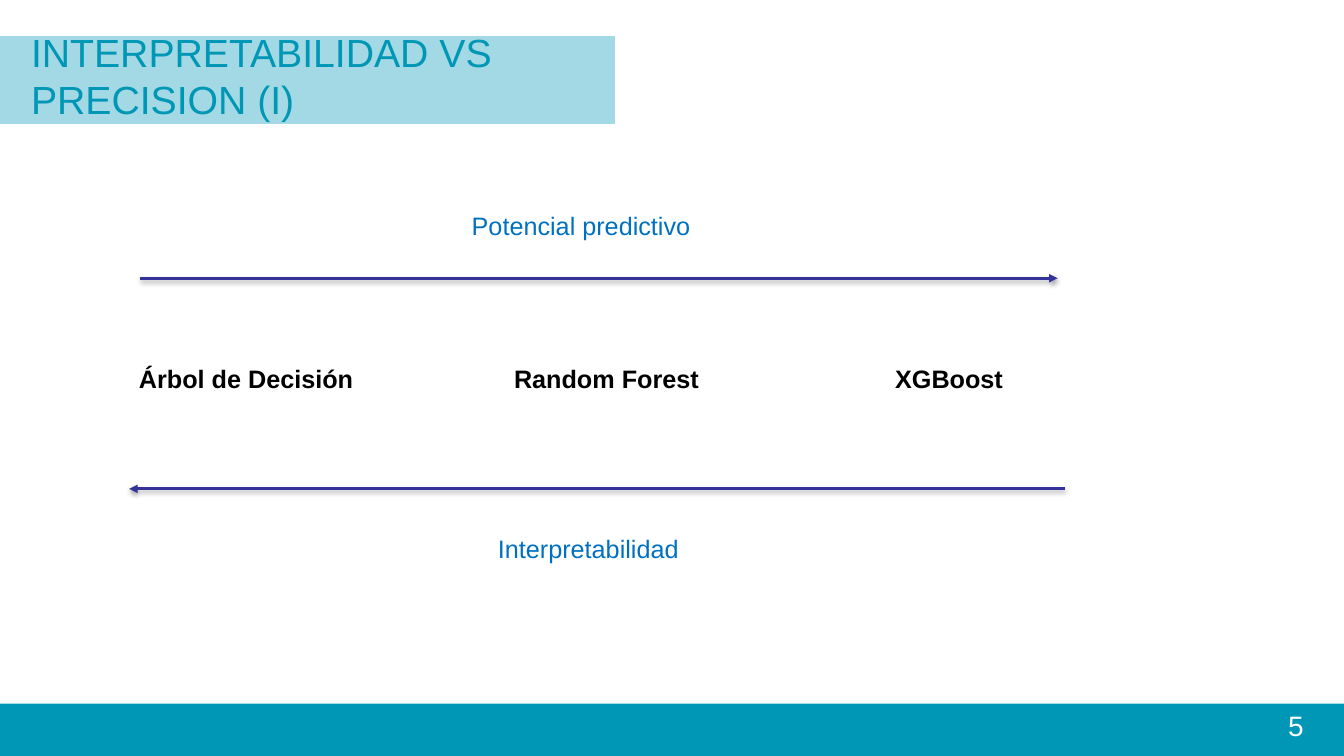
import pptx
import pptx.dml.color
import pptx.enum.shapes
import pptx.enum.text
import pptx.oxml
import pptx.oxml.ns
import pptx.util
from pptx.util import Inches

TEAL = "0097B6"
BLUE = "0070C0"
ALIGN = pptx.enum.text.PP_ALIGN
ANCHOR = pptx.enum.text.MSO_ANCHOR
NAMESPACE = pptx.oxml.ns.nsdecls("a")


def color(hex_string):
    return pptx.dml.color.RGBColor.from_string(hex_string)


def add_text(text, left, top, width, height, size, hex_string,
             bold=False, align=ALIGN.LEFT, anchor=ANCHOR.TOP):
    text_box = slide.shapes.add_textbox(Inches(left), Inches(top), Inches(width), Inches(height))
    frame = text_box.text_frame
    frame.word_wrap = True
    frame.vertical_anchor = anchor
    paragraph = frame.paragraphs[0]
    paragraph.alignment = align
    run = paragraph.add_run()
    run.text = text
    run.font.name = "Arial"
    run.font.size = pptx.util.Pt(size)
    run.font.bold = bold
    run.font.color.rgb = color(hex_string)


presentation = pptx.Presentation()
presentation.slide_width = Inches(13.33)
presentation.slide_height = Inches(7.5)
slide = presentation.slides.add_slide(presentation.slide_layouts[6])

# Footer band and translucent title band
for top, width, height, opacity in [(6.98, 14.16, 0.52, 100), (0.36, 6.54, 0.87, 36)]:
    band = slide.shapes.add_shape(pptx.enum.shapes.MSO_SHAPE.RECTANGLE,
                                  Inches(-0.44), Inches(top), Inches(width), Inches(height))
    band.shadow.inherit = False
    band.line.fill.background()
    band.fill.solid()
    band.fill.fore_color.rgb = color(TEAL)
    if opacity < 100:
        fill_color = band.fill._xPr.find(".//" + pptx.oxml.ns.qn("a:srgbClr"))
        fill_color.append(pptx.oxml.parse_xml(f'<a:alpha {NAMESPACE} val="{opacity * 1000}"/>'))

add_text("5", 10.7, 6.98, 2.33, 0.52, 20, "FFFFFF", align=ALIGN.RIGHT)
add_text("INTERPRETABILIDAD VS PRECISION (I)", 0.21, 0.43, 5.82, 0.63, 28, TEAL,
         anchor=ANCHOR.MIDDLE)

# Models, from most interpretable to most predictive
for model, left in [("Árbol de Decisión", 1.28), ("Random Forest", 5), ("XGBoost", 8.78)]:
    add_text(model, left, 3.56, 2.39, 0.4, 18, "000000", bold=True)

# Opposing arrows with soft shadows
for start, end, y in [(1.39, 10.49, 2.76), (10.56, 1.28, 4.85)]:
    arrow = slide.shapes.add_connector(pptx.enum.shapes.MSO_CONNECTOR.STRAIGHT,
                                       Inches(start), Inches(y), Inches(end), Inches(y))
    arrow.line.color.rgb = color("333399")
    arrow.line.width = pptx.util.Pt(2)
    properties = arrow.line._get_or_add_ln()
    properties.append(pptx.oxml.parse_xml(f'<a:tailEnd {NAMESPACE} type="triangle"/>'))
    properties.getparent().append(pptx.oxml.parse_xml(
        f'<a:effectLst {NAMESPACE}>'
        '<a:outerShdw blurRad="40000" dist="20000" dir="5400000" rotWithShape="0">'
        '<a:srgbClr val="000000"><a:alpha val="38000"/></a:srgbClr>'
        '</a:outerShdw></a:effectLst>'))

for caption, left, top in [("Potencial predictivo", 4.58, 2.04), ("Interpretabilidad", 4.84, 5.24)]:
    add_text(caption, left, top, 2.39, 0.4, 18, BLUE)

presentation.save("out.pptx")
